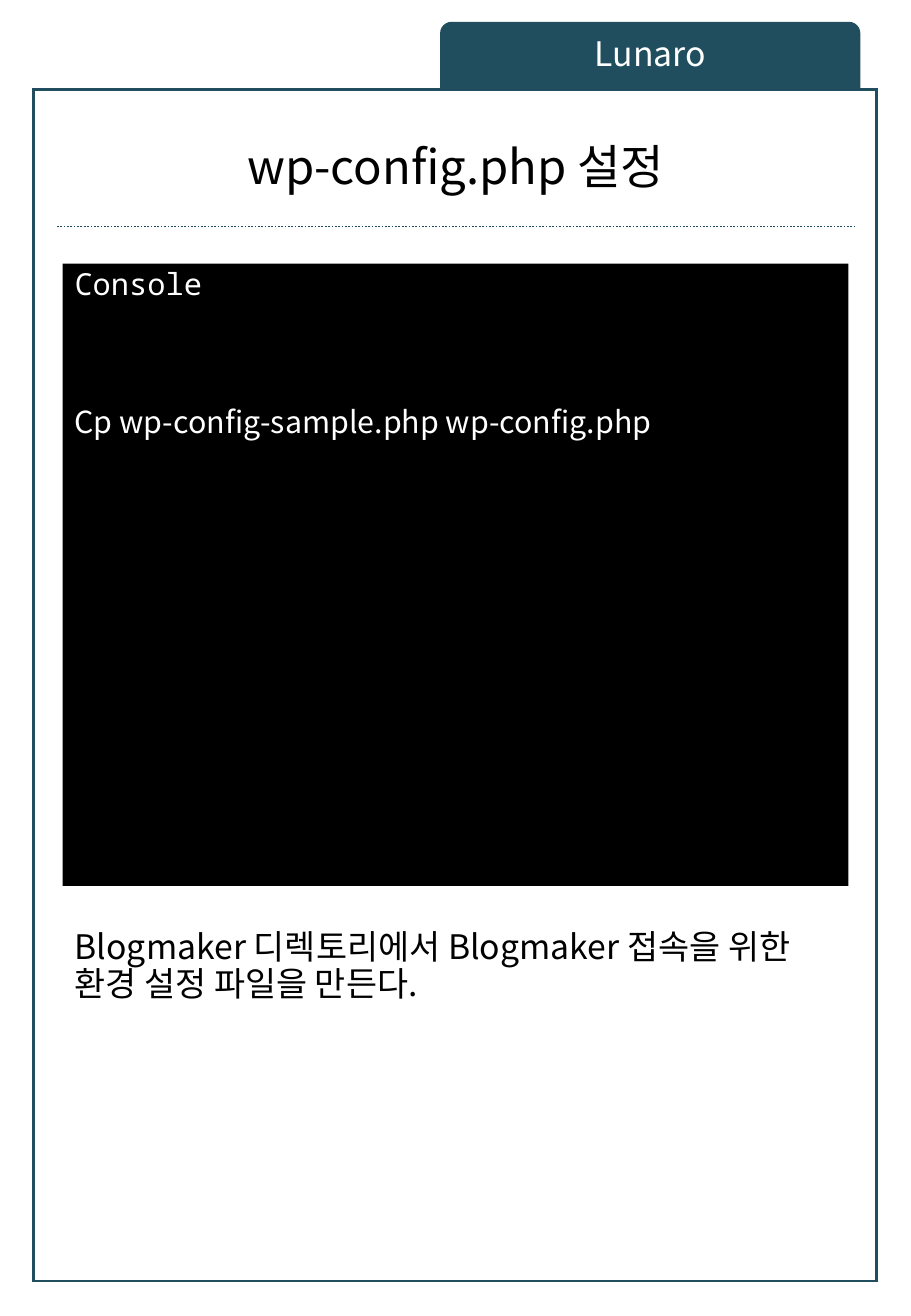
from lxml import etree
from pptx import Presentation
from pptx.dml.color import RGBColor
from pptx.enum.dml import MSO_LINE
from pptx.enum.shapes import MSO_CONNECTOR, MSO_SHAPE
from pptx.enum.text import MSO_ANCHOR, MSO_AUTO_SIZE, PP_ALIGN
from pptx.oxml.ns import qn
from pptx.util import Pt

CENTER, LEFT = PP_ALIGN.CENTER, PP_ALIGN.LEFT
TOP, MIDDLE = MSO_ANCHOR.TOP, MSO_ANCHOR.MIDDLE
SANS, MONO = "Noto Sans CJK KR", "Noto Sans Mono"
COLORS = {"teal": "204E5F", "white": "FFFFFF", "black": "000000"}
MARGIN, CONTENT_WIDTH = 37.1, 465.84


def add_block(kind, left, top, width, height, fill):
    block = page.shapes.add_shape(kind, Pt(left), Pt(top), Pt(width), Pt(height))
    block.shadow.inherit = False
    block.fill.solid()
    block.fill.fore_color.rgb = RGBColor.from_string(COLORS[fill])
    block.line.fill.background()
    return block


def write(box, lines, size, color, align, anchor):
    frame = box.text_frame
    frame.text = "\n".join(text for text, font, before in lines)
    frame.word_wrap = True
    frame.auto_size = MSO_AUTO_SIZE.NONE
    frame.vertical_anchor = anchor
    for para, (text, font, before) in zip(frame.paragraphs, lines):
        para.alignment = align
        para.line_spacing = 0.9
        para.space_before = Pt(before)
        span = para.runs[0]
        span.font.size = Pt(size)
        span.font.name = font
        span.font.color.rgb = RGBColor.from_string(COLORS[color])
        east_asian = etree.Element(qn("a:ea"), typeface=SANS)
        span.font._element.find(qn("a:latin")).addnext(east_asian)


deck = Presentation()
deck.slide_width, deck.slide_height = Pt(540), Pt(779.76)
page = deck.slides.add_slide(deck.slide_layouts[1])
title, body = page.placeholders[0], page.placeholders[1]

# Card frame and tab, behind the text
card = add_block(MSO_SHAPE.RECTANGLE, 19.9, 53, 499.68, 706.1, "white")
card.line.color.rgb = RGBColor.from_string(COLORS["teal"])
card.line.width = Pt(1.5)
etree.SubElement(card.element.spPr.find(qn("a:ln")), qn("a:miter"), lim="800000")
card_color = card.element.spPr.find(qn("a:solidFill"))[0]
etree.SubElement(card_color, qn("a:alpha"), val="80000")
tab = add_block(MSO_SHAPE.ROUND_2_SAME_RECTANGLE, 260.9, 12.96, 249.12, 40.32, "teal")
for backdrop in (card, tab):
    title.element.addprevious(backdrop.element)

# Title
title.left, title.top = Pt(MARGIN), Pt(72.72)
title.width, title.height = Pt(CONTENT_WIDTH), Pt(54.72)
write(title, [("wp-config.php 설정", SANS, 0)], 28, "black", CENTER, MIDDLE)

# Explanation
body.left, body.top = Pt(MARGIN), Pt(547.92)
body.width, body.height = Pt(CONTENT_WIDTH), Pt(178.56)
explanation = "Blogmaker 디렉토리에서 Blogmaker 접속을 위한 환경 설정 파일을 만든다."
write(body, [(explanation, SANS, 7.5)], 20, "black", LEFT, TOP)
properties = body.text_frame.paragraphs[0]._p.get_or_add_pPr()
properties.set("marL", "0")
properties.set("indent", "0")
etree.SubElement(properties, qn("a:buNone"))

# Tab label
label = page.shapes.add_textbox(Pt(269.28), Pt(17.28), Pt(232.56), Pt(31.68))
write(label, [("Lunaro", SANS, 7.5)], 20, "white", CENTER, MIDDLE)

# Console
console = add_block(MSO_SHAPE.RECTANGLE, MARGIN, 156.24, CONTENT_WIDTH, 368.64, "black")
commands = [("Console", MONO, 7.5), ("Cp wp-config-sample.php wp-config.php", SANS, 62)]
write(console, commands, 18, "white", LEFT, TOP)

# Dotted rule under the title
rule = page.shapes.add_connector(
    MSO_CONNECTOR.STRAIGHT, Pt(33.84), Pt(134.2), Pt(506.16), Pt(134.2))
rule.line.color.rgb = RGBColor.from_string(COLORS["teal"])
rule.line.width = Pt(1)
rule.line.dash_style = MSO_LINE.ROUND_DOT
etree.SubElement(rule.element.spPr, qn("a:effectLst"))

deck.save("out.pptx")
